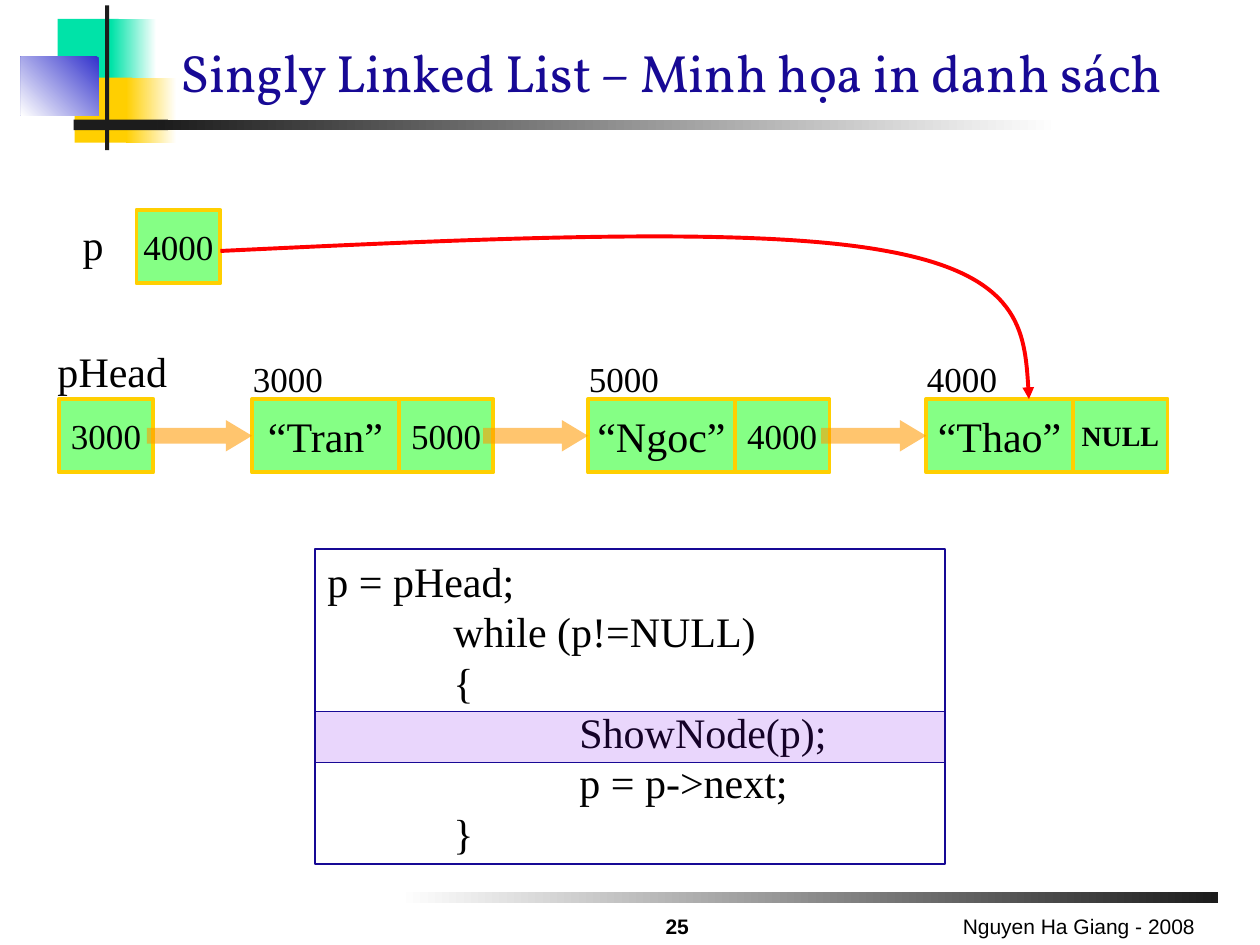
from dataclasses import dataclass

from lxml.etree import SubElement
from pptx import Presentation
from pptx.dml.color import RGBColor as Color
from pptx.enum.shapes import MSO_SHAPE as Shape
from pptx.enum.text import MSO_ANCHOR as Anchor, PP_ALIGN as Align
from pptx.oxml.ns import qn
from pptx.util import Inches, Pt

COLUMNS, ROWS = 120, 90
UNIT = Inches(10) // COLUMNS


@dataclass(frozen=True)
class Theme:
    ink: str = "000000"
    paper: str = "FFFFFF"
    dark: str = "1C1C1C"
    navy: str = "170995"
    blue: str = "3333CC"
    teal: str = "00E3A8"
    gold: str = "FFCF01"
    cell: str = "00FF00"
    arrow: str = "FF9900"
    highlight: str = "7F11EE"
    pointer: str = "FF0000"
    title_font: str = "Vollkorn"
    body_font: str = "Times New Roman"
    footer_font: str = "Arial"
    title: int = 30
    body: int = 24
    address: int = 20
    null: int = 16
    footer: int = 12


THEME = Theme()


def grid(*lengths):
    return [round(length * UNIT) for length in lengths]


def apply(target, formats):
    for name, value in formats.items():
        setattr(target, name, value)


def paint(fill, color, alpha=None):
    fill.solid()
    fill.fore_color.rgb = Color.from_string(color)
    if alpha is not None:
        rgb = fill._xPr.find(qn("a:solidFill"))[0]
        SubElement(rgb, qn("a:alpha"), val=str(alpha * 1000))


def outline(shape, color, width):
    shape.line.color.rgb = Color.from_string(color)
    shape.line.width = Pt(width)


def add_block(slide, box, color=None, alpha=None, line=None, kind=Shape.RECTANGLE):
    shape = slide.shapes.add_shape(kind, *grid(*box))
    shape.shadow.inherit = False
    if color:
        paint(shape.fill, color, alpha)
    else:
        shape.fill.background()
    if line:
        outline(shape, *line)
    else:
        shape.line.fill.background()
    return shape


def add_fade(slide, box, start, end, angle=180):
    shape = add_block(slide, box, start)
    shape.fill.gradient()
    shape.fill.gradient_angle = angle
    for stop, color in zip(shape.fill.gradient_stops, (start, end)):
        stop.color.rgb = Color.from_string(color)


def add_tabs(paragraph, count):
    tabs = SubElement(paragraph._p.get_or_add_pPr(), qn("a:tabLst"))
    for stop in range(1, count + 1):
        SubElement(tabs, qn("a:tab"), pos=str(Inches(stop)), algn="l")


def write(shape, lines, size, font=THEME.body_font, color=THEME.ink, bold=False,
          align=Align.LEFT, anchor=Anchor.TOP, wrap=False, tabs=0):
    frame = shape.text_frame
    apply(frame, {"word_wrap": wrap, "vertical_anchor": anchor})
    for index, line in enumerate(lines):
        paragraph = frame.add_paragraph() if index else frame.paragraphs[0]
        paragraph.text = line
        paragraph.alignment = align
        if tabs:
            add_tabs(paragraph, tabs)
        apply(paragraph.font, {"size": Pt(size), "name": font, "bold": bold})
        paragraph.font.color.rgb = Color.from_string(color)


def add_label(slide, box, text, size, **formats):
    write(slide.shapes.add_textbox(*grid(*box)), [text], size, **formats)


def add_cell(slide, box, text, size=THEME.address, bold=False):
    shape = add_block(slide, box, THEME.cell, 48, (THEME.gold, 2.25))
    write(shape, [text], size, bold=bold, align=Align.CENTER, anchor=Anchor.MIDDLE)


def add_link(slide, column):
    shape = add_block(slide, (column, 40, 10, 3), THEME.arrow, 57, kind=Shape.RIGHT_ARROW)
    shape.adjustments[0], shape.adjustments[1] = 0.5, 0.83


def add_curve(slide, start, controls):
    builder = slide.shapes.build_freeform(*grid(*start), scale=1.0)
    builder.add_line_segments([grid(*point) for point in controls], close=False)
    shape = builder.convert_to_shape()
    shape.shadow.inherit = False
    shape.fill.background()
    outline(shape, THEME.pointer, 2.25)
    outline_path = next(shape._element.iter(qn("a:path")))
    segments = outline_path.findall(qn("a:lnTo"))
    for first in range(0, len(segments), 3):
        curve = SubElement(outline_path, qn("a:cubicBezTo"))
        for segment in segments[first:first + 3]:
            curve.append(segment[0])
            outline_path.remove(segment)
    SubElement(shape.line._get_or_add_ln(), qn("a:tailEnd"), type="triangle")


def add_decoration(slide):
    add_fade(slide, (38, 85, 78, 1), THEME.dark, THEME.paper)
    add_block(slide, (5.5, 1.8, 5.8, 6.2), THEME.teal)
    add_fade(slide, (10.6, 1.8, 4.3, 6.2), THEME.paper, THEME.teal)
    add_block(slide, (7.1, 7.4, 5.5, 6.2), THEME.gold)
    add_fade(slide, (12, 7.4, 4.8, 6.2), THEME.paper, THEME.gold)
    add_fade(slide, (2, 5.4, 7.4, 5.6), THEME.blue, THEME.paper, 225)
    add_block(slide, (10, 0.5, 0.4, 13.8), THEME.dark)
    add_block(slide, (7, 11.4, 9, 1), THEME.dark)
    add_fade(slide, (15, 11.4, 85.9, 1), THEME.paper, THEME.dark)


def add_code(slide):
    lines = ["p = pHead;", "\twhile (p!=NULL)", "\t{", "\t\tShowNode(p);",
             "\t\tp = p->next;", "\t}"]
    shape = add_block(slide, (30, 52.3, 60, 30), line=(THEME.navy, 1))
    write(shape, lines, THEME.body, wrap=True, tabs=7)


def add_list(slide):
    nodes = [(24, "3000", "“Tran”", "5000"), (56, "5000", "“Ngoc”", "4000"),
             (88.2, "4000", "“Thao”", "NULL")]
    add_cell(slide, (5.6, 38, 9, 7), "3000")
    for column, address, name, following in nodes:
        last = following == "NULL"
        add_cell(slide, (column, 38, 14, 7), name, THEME.body)
        add_cell(slide, (column + 14, 38, 9, 7), following,
                 THEME.null if last else THEME.address, last)
        add_label(slide, (column - 1.1, 33.5, 10, 5.3), address, THEME.address)
    add_cell(slide, (13, 20, 8, 7), "4000")
    add_label(slide, (4.3, 32.3, 13.5, 6), "pHead", THEME.body)
    add_label(slide, (6.7, 20.2, 5, 6), "p", THEME.body)
    for column, *_ in nodes:
        add_link(slide, column - 10)


def main():
    presentation = Presentation()
    apply(presentation, {"slide_width": COLUMNS * UNIT, "slide_height": ROWS * UNIT})
    slide = presentation.slides.add_slide(presentation.slide_layouts[6])
    add_decoration(slide)
    add_label(slide, (16, 2.4, 102, 8), "Singly Linked List – Minh họa in danh sách",
              THEME.title, font=THEME.title_font, color=THEME.navy,
              anchor=Anchor.BOTTOM, wrap=True)
    add_code(slide)
    add_list(slide)
    add_block(slide, (30, 67.8, 60, 4.8), THEME.highlight, 17, (THEME.navy, 0.75))
    add_curve(slide, (21, 23.9), [(46.3, 22.7), (71.5, 21.5), (84.4, 23.9),
                                  (97.2, 26.2), (97.7, 32.2), (98, 38)])
    footer = {"font": THEME.footer_font, "anchor": Anchor.BOTTOM, "wrap": True}
    add_label(slide, (77, 86, 38, 4), "Nguyen Ha Giang - 2008", THEME.footer,
              align=Align.RIGHT, **footer)
    add_label(slide, (59, 86.8, 11, 3.2), "25", THEME.footer, bold=True,
              align=Align.CENTER, **footer)
    presentation.save("out.pptx")


if __name__ == "__main__":
    main()
